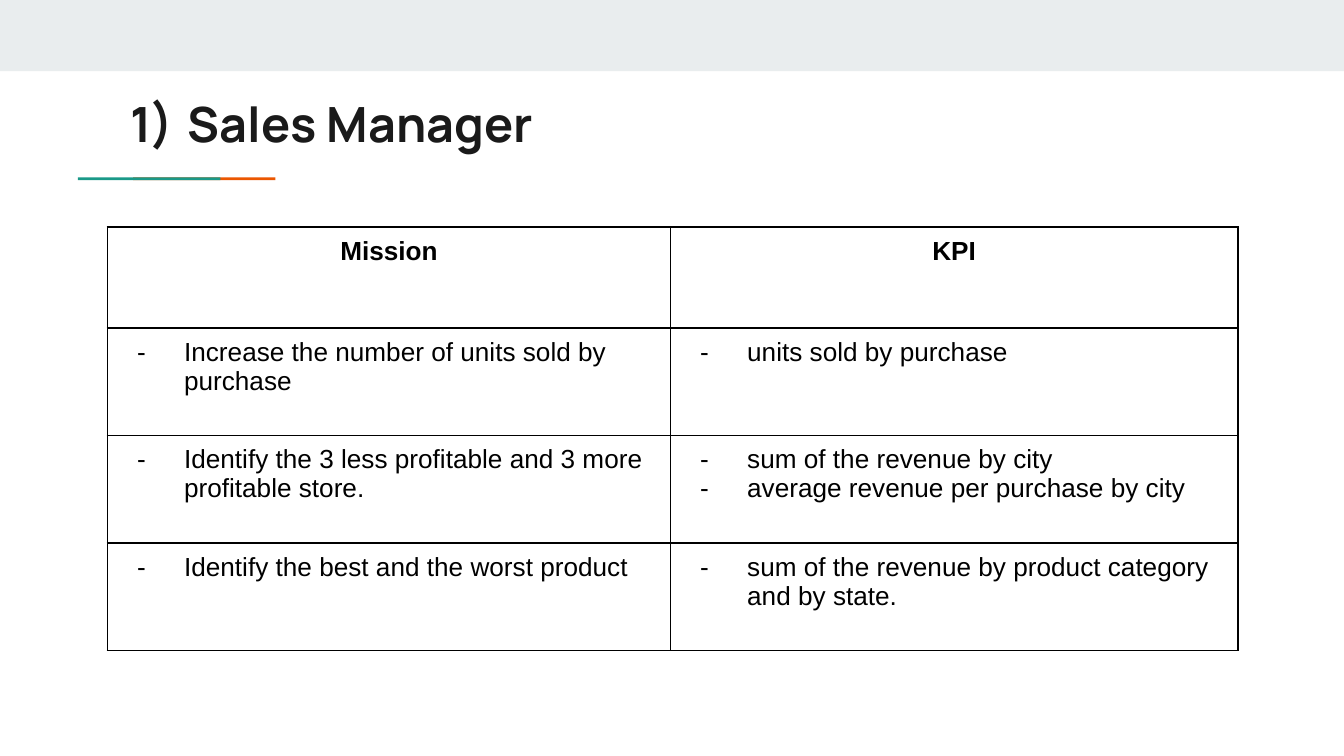
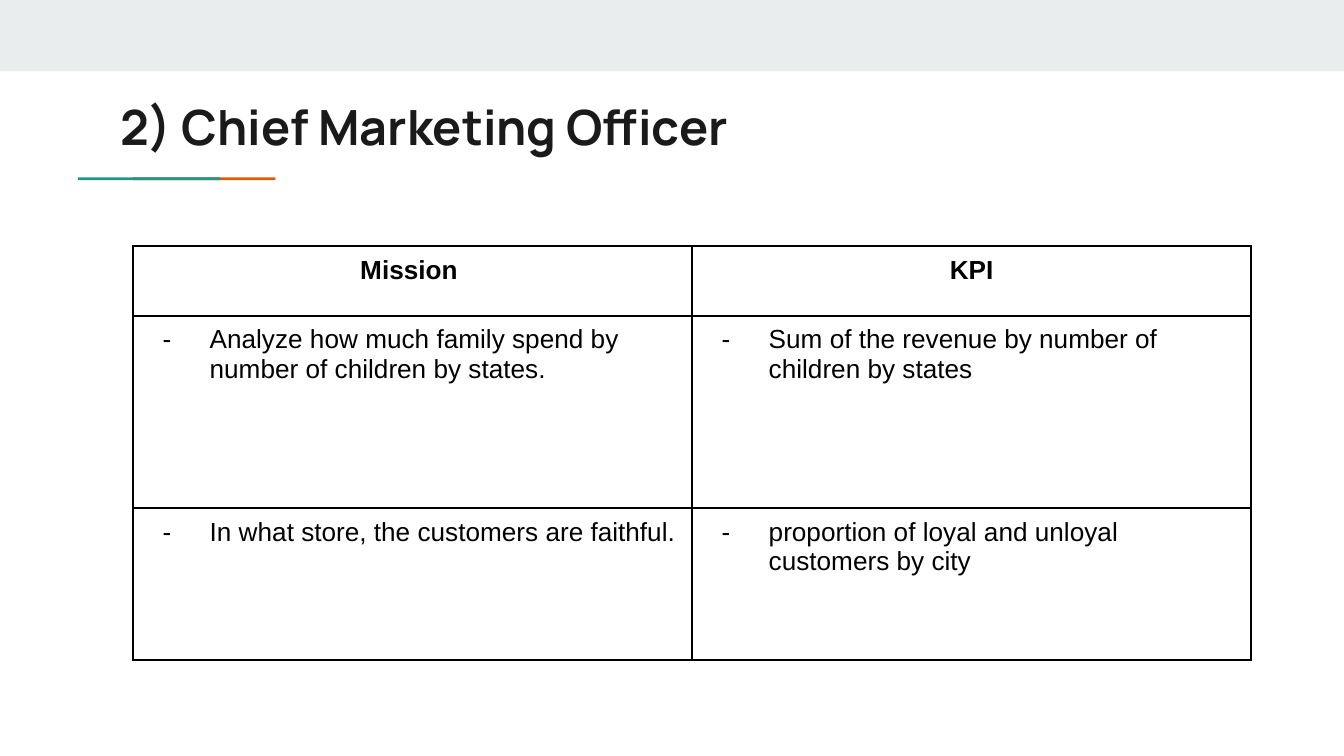
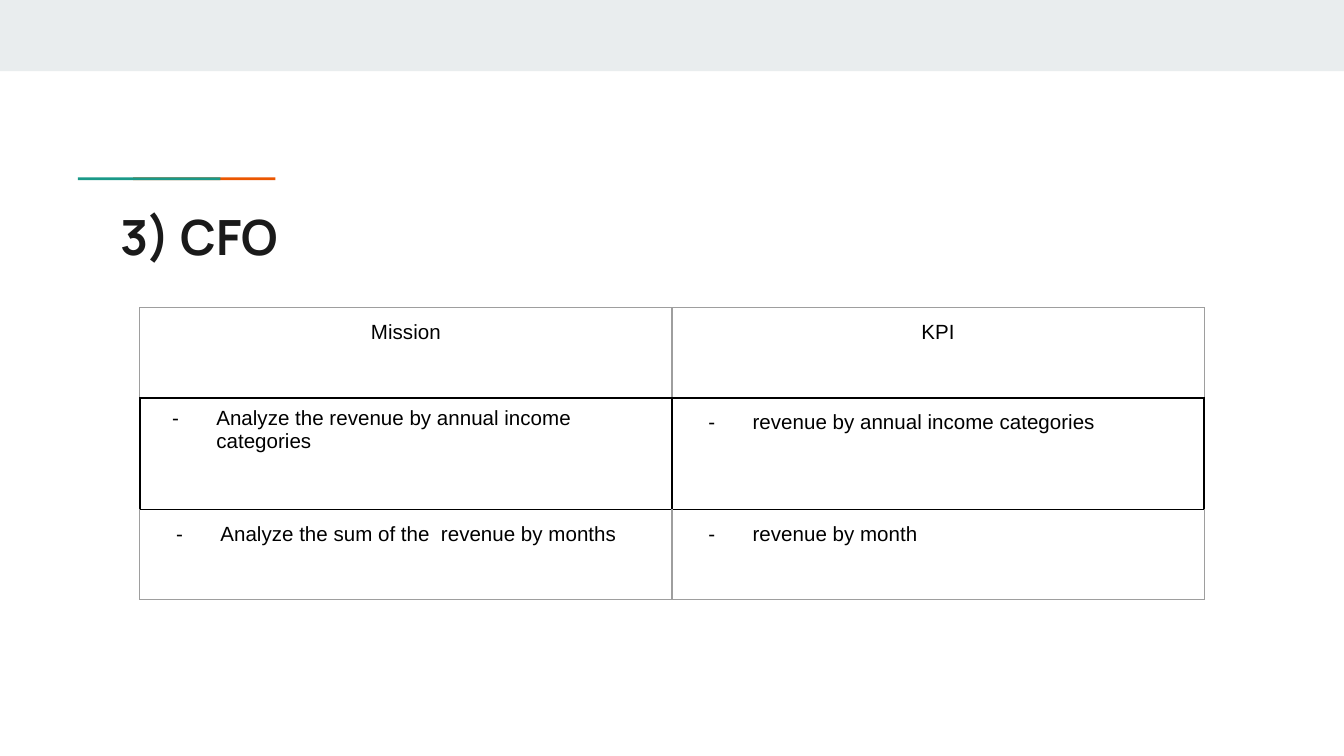
import pptx
import pptx.dml.color
import pptx.enum.shapes
import pptx.enum.text
import pptx.oxml
import pptx.oxml.ns
import pptx.util

Inches = pptx.util.Inches
Pt = pptx.util.Pt
PP_ALIGN = pptx.enum.text.PP_ALIGN

COLORS = {
    "band": "E9EDEE",
    "orange": "EB5600",
    "green": "1A9988",
    "title": "1A1A1A",
    "text": "000000",
    "grid": "9E9E9E",
    "page": "FFFFFF",
}
TITLE_FONT = "Manrope"
BODY_FONT = "Arial"
BLACK = ("text", 1)
GREY = ("grid", 0.75)


def rgb(name):
    return pptx.dml.color.RGBColor.from_string(COLORS[name])


def xml(tag, inner="", **attrs):
    text = " ".join(f'{k}="{v}"' for k, v in attrs.items())
    ns = pptx.oxml.ns.nsdecls("a")
    return pptx.oxml.parse_xml(f"<a:{tag} {ns} {text}>{inner}</a:{tag}>")


def solid(name):
    return f'<a:solidFill><a:srgbClr val="{COLORS[name]}"/></a:solidFill>'


def add_rect(s, x, y, w, h, color):
    sp = s.shapes.add_shape(
        pptx.enum.shapes.MSO_SHAPE.RECTANGLE, Inches(x), Inches(y), Inches(w), Inches(h)
    )
    sp.shadow.inherit = False
    sp.fill.solid()
    sp.fill.fore_color.rgb = rgb(color)
    sp.line.fill.background()


def add_run(p, text, font, size, color, bold=False):
    r = p.add_run()
    r.text = text
    r.font.name = font
    r.font.size = Pt(size)
    r.font.bold = bold
    r.font.color.rgb = rgb(color)


def set_bullet(p, bullet, font, color, hanging):
    pPr = p._p.get_or_add_pPr()
    pPr.set("marL", str(Inches(0.5)))
    pPr.set("indent", str(-Inches(hanging)))
    pPr.append(xml("buClr", f'<a:srgbClr val="{COLORS[color]}"/>'))
    pPr.append(xml("buFont", typeface=font))
    pPr.append(bullet)


def set_insets(box, inset):
    box.margin_left = box.margin_right = Inches(inset)
    box.margin_top = box.margin_bottom = Inches(inset)


def add_title(s, text, y, numbered=False):
    sp = s.shapes.add_textbox(Inches(0.8), Inches(y), Inches(8.41), Inches(0.59))
    tf = sp.text_frame
    tf.word_wrap = True
    set_insets(tf, 0.1)
    p = tf.paragraphs[0]
    if numbered:
        set_bullet(p, xml("buAutoNum", type="arabicParenR"), TITLE_FONT, "title", 0.43)
    add_run(p, text, TITLE_FONT, 26, "title", True)


def add_slide(prs, title, title_y, numbered=False):
    s = prs.slides.add_slide(prs.slide_layouts[6])
    s.background.fill.solid()
    s.background.fill.fore_color.rgb = rgb("page")
    add_rect(s, 0, 0, 10, 0.53, "band")
    add_rect(s, 0.99, 1.32, 1.06, 0.02, "orange")
    add_rect(s, 0.58, 1.32, 1.06, 0.02, "green")
    add_title(s, title, title_y, numbered)
    return s


def style_cell(cell, sides, top, bottom, inset):
    tcPr = cell._tc.get_or_add_tcPr()
    for tag, (color, width) in zip(("lnL", "lnR", "lnT", "lnB"), (sides, sides, top, bottom)):
        tcPr.append(xml(tag, solid(color), w=Pt(width)))
    cell.fill.background()
    set_insets(cell, inset)


def add_mission_table(s, x, y, col_widths, row_heights, rows, size=14, hanging=0.35,
                      bold_header=True, inset=0.07, tight_cells=(), sides=None, rules=None):
    sides = sides or [BLACK] * len(rows)
    rules = rules or [BLACK] * (len(rows) + 1)
    frame = s.shapes.add_table(
        len(rows), len(col_widths), Inches(x), Inches(y),
        Inches(sum(col_widths)), Inches(sum(row_heights)),
    )
    table = frame.table
    table.first_row = table.horz_banding = False
    for col, width in zip(table.columns, col_widths):
        col.width = Inches(width)
    for i, (height, row) in enumerate(zip(row_heights, rows)):
        table.rows[i].height = Inches(height)
        for j, lines in enumerate(row):
            cell = table.cell(i, j)
            cell_inset = 0.07 if (i, j) in tight_cells else inset
            style_cell(cell, sides[i], rules[i], rules[i + 1], cell_inset)
            tf = cell.text_frame
            for n, line in enumerate(lines):
                p = tf.add_paragraph() if n else tf.paragraphs[0]
                if i == 0:
                    p.alignment = PP_ALIGN.CENTER
                else:
                    set_bullet(p, xml("buChar", char="-"), BODY_FONT, "text", hanging)
                add_run(p, line, BODY_FONT, size, "text", bold_header and i == 0)


def add_sales_manager(prs):
    s = add_slide(prs, "Sales Manager", 0.6, numbered=True)
    add_mission_table(s, 0.8, 1.69, [4.19, 4.22], [0.75, 0.8, 0.8, 0.8], [
        (["Mission"], ["KPI"]),
        (["Increase the number of units sold by purchase"], ["units sold by purchase"]),
        (["Identify the 3 less profitable and 3 more profitable store."],
         ["sum of the revenue by city", "average revenue per purchase by city"]),
        (["Identify the best and the worst product"],
         ["sum of the revenue by product category and by state."]),
    ])


def add_marketing_officer(prs):
    s = add_slide(prs, "2) Chief Marketing Officer", 0.62)
    add_mission_table(s, 0.99, 1.83, [4.16, 4.16], [0.52, 1.43, 1.13], [
        (["Mission "], ["KPI"]),
        (["Analyze how much family spend by number of children by states."],
         ["Sum of the revenue by number of children by states"]),
        (["In what store, the customers are faithful."],
         ["proportion of loyal and unloyal customers by city"]),
    ])


def add_cfo(prs):
    s = add_slide(prs, "3) CFO", 1.44)
    add_mission_table(s, 1.04, 2.29, [3.96, 3.96], [0.67, 0.83, 0.67], [
        (["Mission"], ["KPI"]),
        (["Analyze the revenue by annual income categories"],
         ["revenue by annual income categories"]),
        (["Analyze the sum of the  revenue by months"], ["revenue by month"]),
    ], size=11, hanging=0.33, bold_header=False, inset=0.1, tight_cells={(1, 0)},
        sides=[GREY, BLACK, GREY], rules=[GREY, BLACK, BLACK, GREY])


def main():
    prs = pptx.Presentation()
    prs.slide_width = Inches(10)
    prs.slide_height = prs.slide_width * 9 // 16
    add_sales_manager(prs)
    add_marketing_officer(prs)
    add_cfo(prs)
    prs.save("out.pptx")


if __name__ == "__main__":
    main()
